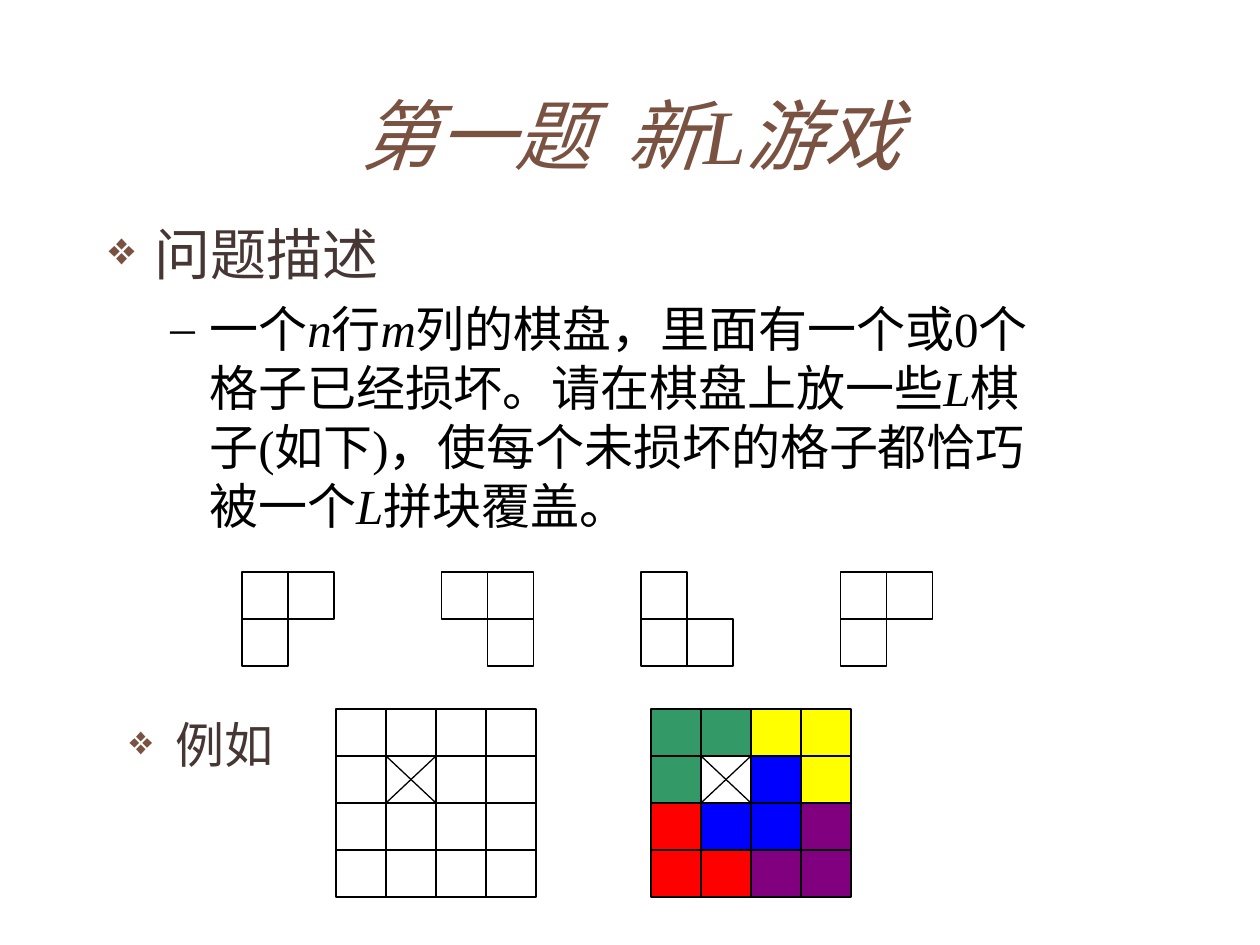
from lxml.etree import SubElement as Sub
from pptx import Presentation
from pptx.dml.color import RGBColor as RGB
from pptx.enum.shapes import MSO_CONNECTOR as Conn, MSO_SHAPE as Kind
from pptx.enum.text import MSO_ANCHOR as Anchor, MSO_AUTO_SIZE as Fit, PP_ALIGN as Align
from pptx.oxml.ns import qn
from pptx.util import Pt

BROWN, DARK, BLACK = RGB(0x79, 0x52, 0x41), RGB(0x46, 0x36, 0x34), RGB(0, 0, 0)
WHITE, GREEN, YELLOW = RGB(255, 255, 255), RGB(0x33, 0x99, 0x66), RGB(255, 255, 0)
BLUE, RED, PURPLE = RGB(0, 0, 255), RGB(255, 0, 0), RGB(0x80, 0, 0x80)
FILLS = {"W": WHITE, "X": WHITE, "G": GREEN, "Y": YELLOW, "B": BLUE, "R": RED, "P": PURPLE}
FACE = "Times New Roman"

TITLE = "第一题  新L游戏"
HEAD = ["问题描述"]
RULE = ["一个", "n", "行", "m", "列的棋盘，里面有一个或0个格子已经损坏。请在棋盘上放一些",
        "L", "棋子(如下)，使每个未损坏的格子都恰巧被一个", "L", "拼块覆盖。"]
CASE = ["例如"]
PIECES = [("WW", "W "), ("WW", " W"), ("W ", "WW"), ("WW", "W ")]
BOARDS = [
    (336, ("WWWW", "WXWW", "WWWW", "WWWW")),
    (651, ("GGYY", "GXBY", "RBBP", "RRPP")),
]

STAR = {"char": "❖", "tint": BROWN, "size": 65, "left": 47, "hang": 47}
DASH = {"char": "–", "tint": BLACK, "size": 100, "left": 102, "hang": 39}
TEXTS = [
    ((95, 213, 976, 336), [(HEAD, 0, STAR, 32, DARK, 0), (RULE, 1, DASH, 28, BLACK, 7)]),
    ((116, 708, 976, 95), [(CASE, 0, STAR, 28, DARK, 0)]),
]


def px(n):
    return round(n * 914400 / 126)


def place(shape, box):
    for key, val in zip(("left", "top", "width", "height"), box):
        setattr(shape, key, px(val))


def style(font, size, tint, slant):
    look = {"name": FACE, "size": Pt(size), "italic": slant, "bold": False}
    for key, val in look.items():
        setattr(font, key, val)
    font.color.rgb = tint


def bullet(par, mark):
    prop = par._p.get_or_add_pPr()
    prop.set("marL", str(px(mark["left"])))
    prop.set("indent", str(-px(mark["hang"])))
    Sub(Sub(prop, qn("a:buClr")), qn("a:srgbClr"), val=str(mark["tint"]))
    Sub(prop, qn("a:buSzPct"), val=str(mark["size"] * 1000))
    Sub(prop, qn("a:buFont"), typeface=FACE)
    Sub(prop, qn("a:buChar"), char=mark["char"])


def write(slide, box, pars):
    frame = slide.shapes.add_textbox(*map(px, box)).text_frame
    frame.word_wrap = True
    for i, (parts, level, mark, size, tint, gap) in enumerate(pars):
        par = frame.add_paragraph() if i else frame.paragraphs[0]
        par.level = level
        bullet(par, mark)
        par.space_before = Pt(gap)
        for j, part in enumerate(parts):
            run = par.add_run()
            run.text = part
            style(run.font, size, tint, j % 2 == 1)


def edge(line):
    line.color.rgb = BLACK
    line.width = Pt(0.75)


def cross(group, x, y, wide, high):
    for top, end in ((y, y + high), (y + high, y)):
        line = group.shapes.add_connector(Conn.STRAIGHT, px(x), px(top), px(x + wide), px(end))
        edge(line.line)
        Sub(line._element.spPr, qn("a:effectLst"))


def grid(slide, left, top, wide, high, rows):
    group = slide.shapes.add_group_shape()
    for r, row in enumerate(rows):
        for c, code in enumerate(row):
            if code == " ":
                continue
            box = (left + c * wide, top + r * high, wide, high)
            cell = group.shapes.add_shape(Kind.RECTANGLE, *map(px, box))
            cell.shadow.inherit = False
            cell.fill.solid()
            cell.fill.fore_color.rgb = FILLS[code]
            edge(cell.line)
            if code == "X":
                cross(group, *box)


def main():
    deck = Presentation()
    deck.slide_width, deck.slide_height = px(1260), px(945)
    slide = deck.slides.add_slide(deck.slide_layouts[5])

    title = slide.shapes.title
    place(title, (95, 55, 1071, 158))
    frame = title.text_frame
    frame.text = TITLE
    frame.auto_size = Fit.NONE
    frame.vertical_anchor = Anchor.MIDDLE
    par = frame.paragraphs[0]
    par.alignment = Align.CENTER
    style(par.runs[0].font, 44, BROWN, True)

    for box, pars in TEXTS:
        write(slide, box, pars)
    for i, rows in enumerate(PIECES):
        grid(slide, 242 + i * 199.5, 572, 46, 47, rows)
    for left, rows in BOARDS:
        grid(slide, left, 709, 50, 47, rows)

    deck.save("out.pptx")


if __name__ == "__main__":
    main()
